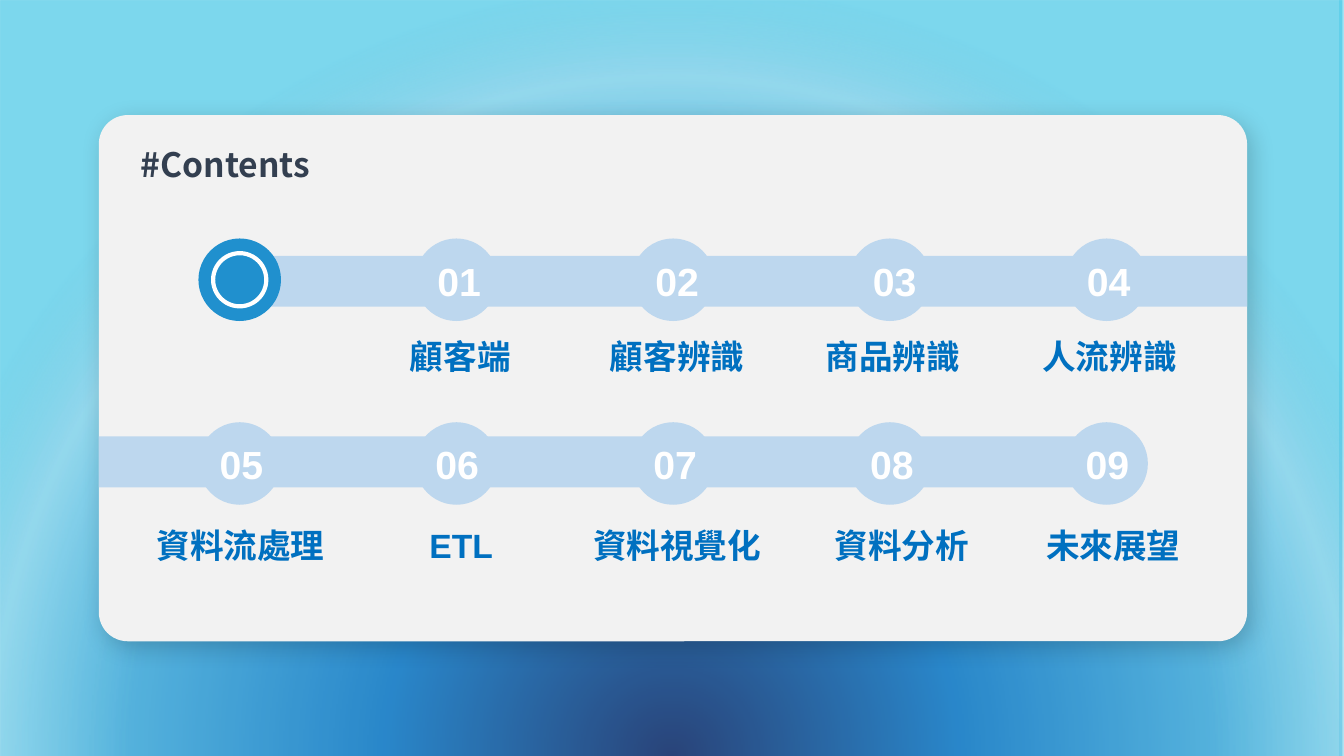
"""Build a contents slide with a two-row numbered roadmap on a card."""
from dataclasses import dataclass
from typing import Optional

from lxml.etree import SubElement
from pptx import Presentation
from pptx.dml.color import RGBColor
from pptx.enum.shapes import MSO_SHAPE
from pptx.enum.text import MSO_AUTO_SIZE, PP_ALIGN
from pptx.oxml import parse_xml
from pptx.oxml.ns import nsdecls, qn
from pptx.shapes.autoshape import Shape
from pptx.slide import Slide
from pptx.util import Cm, Pt

WHITE = RGBColor(0xFF, 0xFF, 0xFF)
CARD = RGBColor(0xF2, 0xF2, 0xF2)
TITLE = RGBColor(0x33, 0x3F, 0x50)
TRACK = RGBColor(0xBD, 0xD7, 0xEE)
START = RGBColor(0x20, 0x90, 0xCE)
LABEL = RGBColor(0x00, 0x70, 0xC0)
LATIN_FONT = "Arial"
CJK_FONT = "Noto Sans CJK SC"

SLIDE_W, SLIDE_H = 33.86, 19.05
CARD_X, CARD_Y, CARD_W, CARD_H = 2.49, 2.9, 28.93, 13.26
TRACK_W, TRACK_H = 25.48, 1.28
FIRST_X, PITCH = 6.04, 5.46
NODE, RING = 2.08, 1.34
NUMBER_W, TEXT_H = 3.38, 1.3
GLOW = ((0, "002060", 100), (37, "0070C0", 100), (55, "1C8CCC", 100),
        (70, "34A3D6", 100), (88, "25B0DB", 58), (100, "63D0EA", 100))


@dataclass(frozen=True)
class Row:
    track_x: float
    track_y: float
    node_y: float
    number_y: float
    label_y: float


@dataclass(frozen=True)
class Step:
    label: str
    label_w: float
    number_shift: float
    label_shift: float
    font: str = CJK_FONT


ROWS = (
    Row(CARD_X + CARD_W - TRACK_W, 6.45, 6.01, 6.58, 8.46),
    Row(CARD_X, 11.0, 10.64, 11.2, 13.21),
)
STEPS = (
    Step("顧客端", 3.38, 0.07, 0.1),
    Step("顧客辨識", 4.5, 0.1, 0.1),
    Step("商品辨識", 4.5, 0.12, 0.07),
    Step("人流辨識", 4.5, 0.05, 0.07),
    Step("資料流處理", 5.66, 0.04, 0.02),
    Step("ETL", 4.5, 0.02, 0.12, LATIN_FONT),
    Step("資料視覺化", 5.66, 0.05, 0.1),
    Step("資料分析", 5.66, 0.05, 0.3),
    Step("未來展望", 5.66, 0.02, 0.17),
)
COLUMNS = 5


def add_block(s: Slide, kind: MSO_SHAPE, x: float, y: float, w: float, h: float,
              color: Optional[RGBColor] = None) -> Shape:
    sp = s.shapes.add_shape(kind, Cm(x), Cm(y), Cm(w), Cm(h))
    sp.shadow.inherit = False
    sp.line.fill.background()
    if color is None:
        sp.fill.background()
    else:
        sp.fill.solid()
        sp.fill.fore_color.rgb = color
    return sp


def add_text(s: Slide, text: str, x: float, y: float, w: float, size: int,
             color: RGBColor, font: str, spacing: Optional[float] = None) -> Shape:
    sp = s.shapes.add_textbox(Cm(x), Cm(y), Cm(w), Cm(TEXT_H))
    tf = sp.text_frame
    tf.word_wrap = True
    p = tf.paragraphs[0]
    p.alignment = PP_ALIGN.CENTER
    p.line_spacing = spacing
    r = p.add_run()
    r.text = text
    r.font.size = Pt(size)
    r.font.bold = True
    r.font.color.rgb = color
    r.font.name = font
    SubElement(r.font._element, qn("a:ea"), typeface=font)
    return sp


def add_background(s: Slide) -> None:
    sp = add_block(s, MSO_SHAPE.RECTANGLE, 0, 0, SLIDE_W, SLIDE_H, WHITE)
    stops = "".join(
        f'<a:gs pos="{pos * 1000}"><a:srgbClr val="{color}">'
        f'<a:alpha val="{alpha * 1000}"/></a:srgbClr></a:gs>'
        for pos, color, alpha in GLOW)
    solid = sp._element.spPr.find(qn("a:solidFill"))
    solid.getparent().replace(solid, parse_xml(
        f'<a:gradFill {nsdecls("a")} rotWithShape="1"><a:gsLst>{stops}</a:gsLst>'
        '<a:path path="circle"><a:fillToRect l="50000" t="130000" r="50000" '
        'b="-30000"/></a:path></a:gradFill>'))
    veil = add_block(s, MSO_SHAPE.RECTANGLE, 0, 0, SLIDE_W - 0.13, SLIDE_H, WHITE)
    color = veil._element.spPr.find(qn("a:solidFill"))[0]
    SubElement(color, qn("a:alpha"), val="16000")


def add_card(s: Slide) -> None:
    sp = add_block(s, MSO_SHAPE.ROUNDED_RECTANGLE, CARD_X, CARD_Y, CARD_W, CARD_H, CARD)
    sp.adjustments[0] = 0.055
    sp._element.spPr.find(qn("a:effectLst")).append(parse_xml(
        f'<a:outerShdw {nsdecls("a")} blurRad="{Pt(17)}" dist="{Pt(6)}" dir="2700000" '
        'algn="tl" rotWithShape="0"><a:srgbClr val="000000"><a:alpha val="18000"/>'
        '</a:srgbClr></a:outerShdw>'))
    title = add_text(s, "#Contents", 3.3, 3.5, 4.8, 24, TITLE, CJK_FONT)
    title.text_frame.word_wrap = False
    title.text_frame.auto_size = MSO_AUTO_SIZE.SHAPE_TO_FIT_TEXT
    title.text_frame.paragraphs[0].alignment = PP_ALIGN.LEFT


def add_roadmap(s: Slide) -> None:
    for row in ROWS:
        add_block(s, MSO_SHAPE.RECTANGLE, row.track_x, row.track_y, TRACK_W, TRACK_H, TRACK)
    for i in range(len(STEPS) + 1):
        row = ROWS[i // COLUMNS]
        center = FIRST_X + i % COLUMNS * PITCH
        add_block(s, MSO_SHAPE.OVAL, center - NODE / 2, row.node_y, NODE, NODE,
                  TRACK if i else START)
        if i == 0:
            ring = add_block(s, MSO_SHAPE.OVAL, center - RING / 2,
                             row.node_y + (NODE - RING) / 2, RING, RING)
            ring.line.color.rgb = WHITE
            ring.line.width = Pt(3)
            continue
        step = STEPS[i - 1]
        add_text(s, step.label, center + step.label_shift - step.label_w / 2,
                 row.label_y, step.label_w, 24, LABEL, step.font, 0.9)
        add_text(s, f"{i:02d}", center + step.number_shift - NUMBER_W / 2,
                 row.number_y, NUMBER_W, 28, WHITE, LATIN_FONT, 0.8)


def main() -> None:
    prs = Presentation()
    prs.slide_width, prs.slide_height = Cm(SLIDE_W), Cm(SLIDE_H)
    s = prs.slides.add_slide(prs.slide_layouts[6])
    add_background(s)
    add_card(s)
    add_roadmap(s)
    prs.save("out.pptx")


if __name__ == "__main__":
    main()
